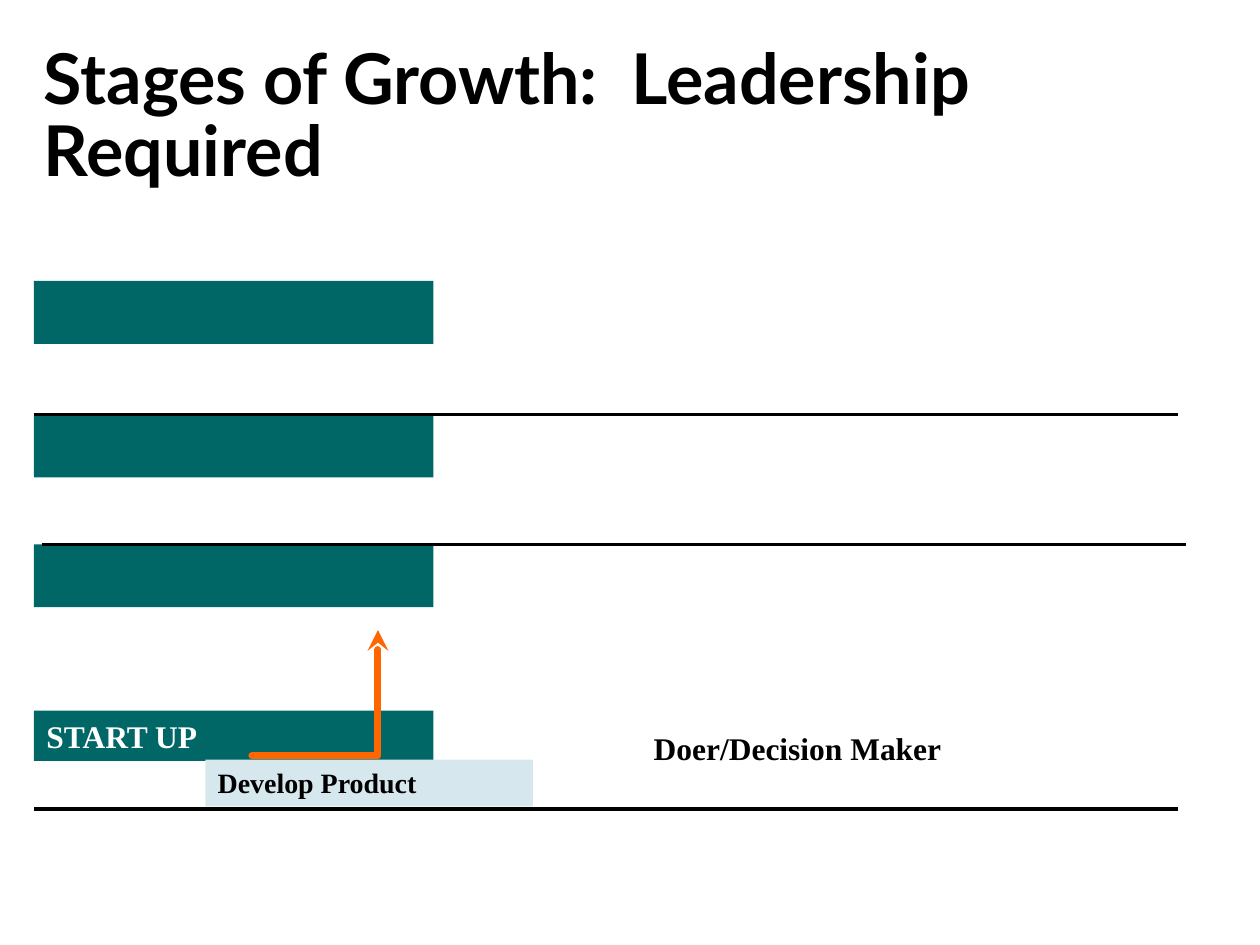
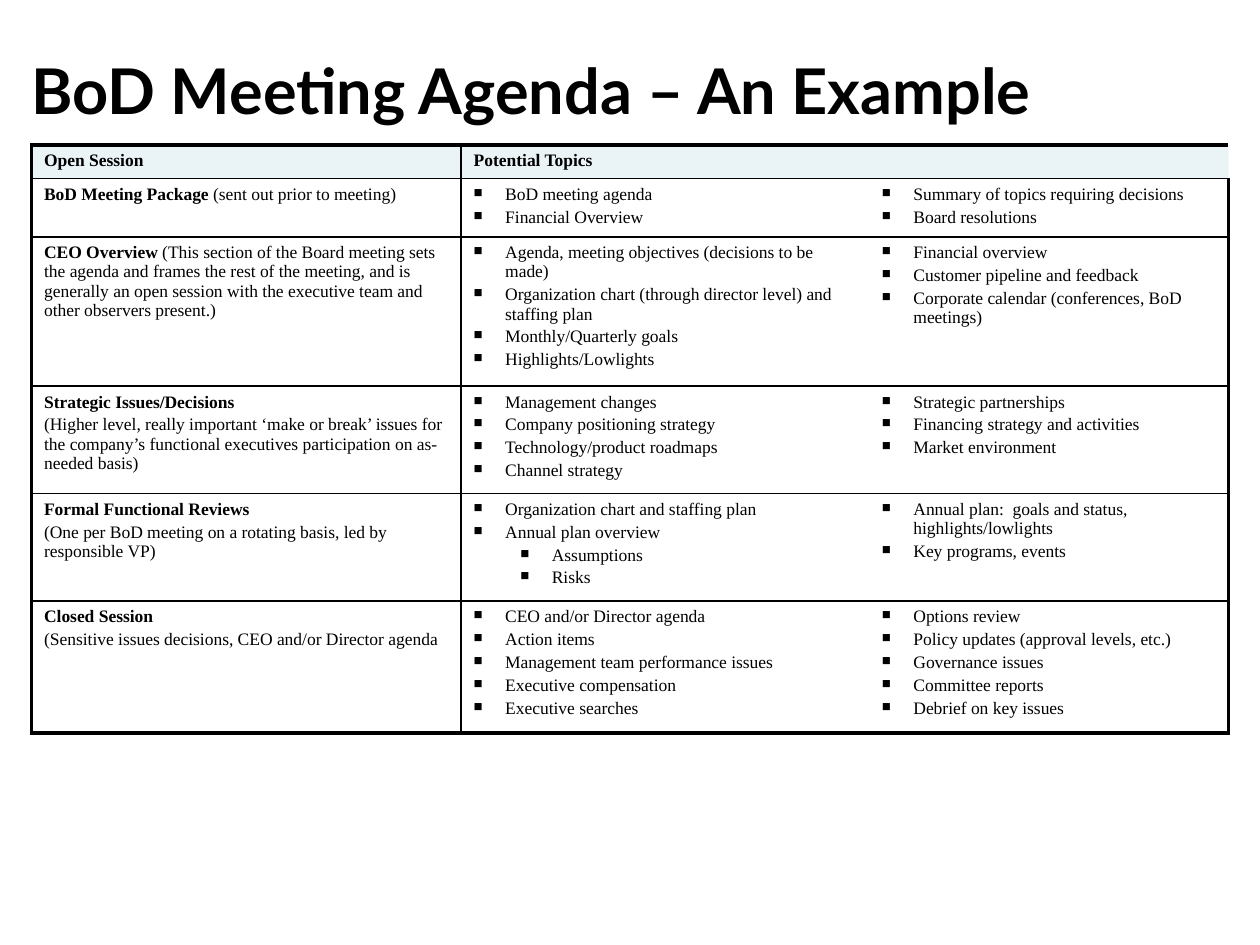
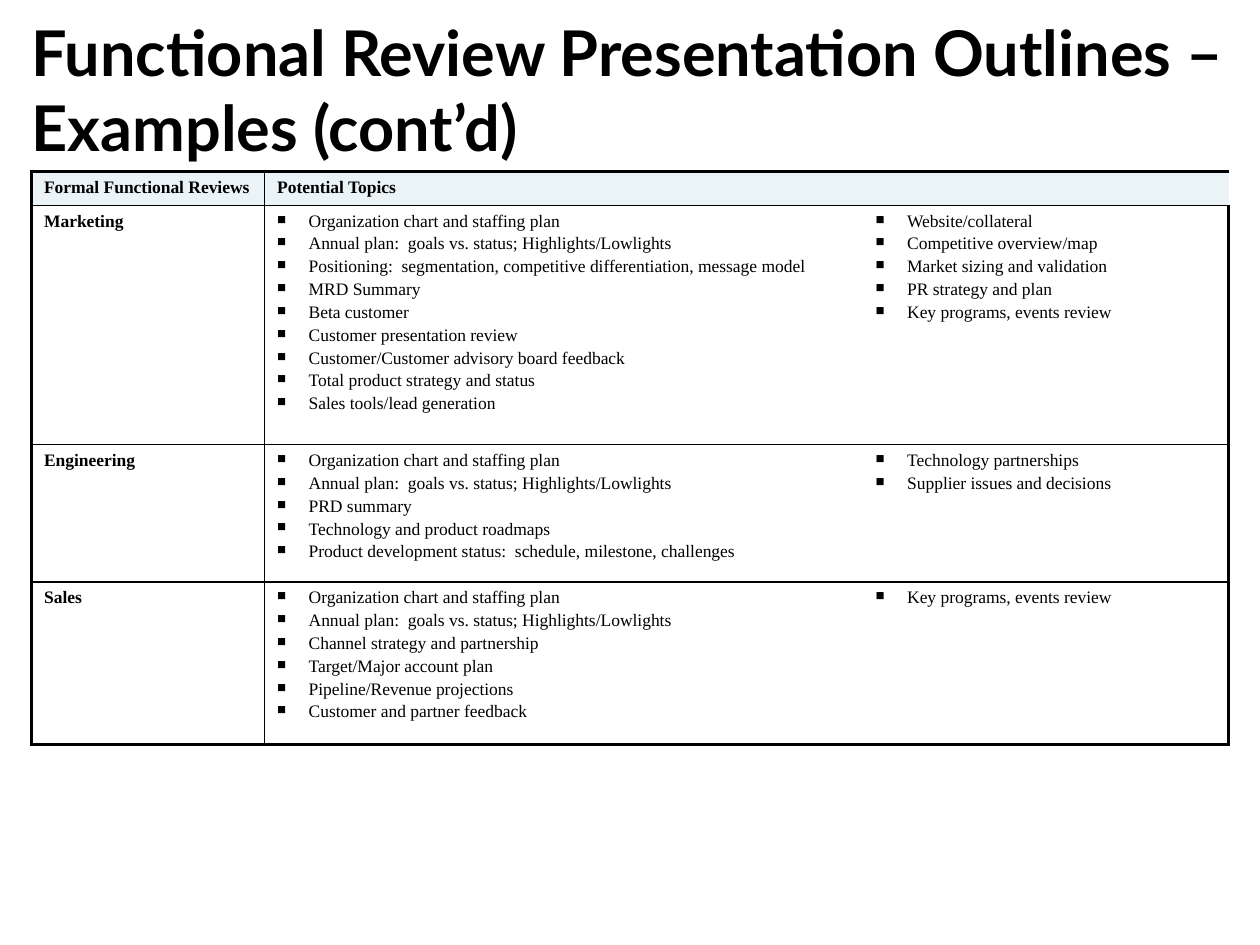
import pptx
import pptx.util
import pptx.dml.color
import pptx.enum.shapes
import pptx.enum.text
import pptx.oxml.ns
from lxml import etree

Inches, Pt = pptx.util.Inches, pptx.util.Pt
qn = pptx.oxml.ns.qn
TOP = pptx.enum.text.MSO_ANCHOR.TOP
MIDDLE = pptx.enum.text.MSO_ANCHOR.MIDDLE

COLORS = {"ink": "000000", "white": "FFFFFF", "teal": "006666",
          "pale": "D6E8EE", "orange": "FF6600"}
TITLE_FONT, BODY_FONT = "Lato", "Times New Roman"
TITLE_BOX = (0.25, 0.33, 9.5, 0.75)
TABLE_LEFT = 0.25
OUTER, INNER = 2.25, 1

# Growth stages: left, top, width, height
STAGE_LEFT, STAGE_WIDTH = 0.27, 3.17
EMPTY_STAGES = [(4.32, 0.5), (3.29, 0.5), (2.23, 0.5)]
START_UP = (STAGE_LEFT, 5.64, STAGE_WIDTH, 0.4)
PRODUCT = (1.63, 6.03, 2.6, 0.37)
LEADER = (5.09, 5.74, 2.57, 0.4)
DIVIDERS = [(0.27, 6.42), (0.33, 4.32), (0.27, 3.29)]
DIVIDER_LENGTH = 9.08
CURVE_START = (1.67, 5.93)
CURVE = [((1.74, 5.95), (1.92, 6.06), (2.1, 6.07)),
         ((2.28, 6.07), (2.5, 6.07), (2.73, 5.94)),
         ((2.96, 5.81), (3.33, 5.41), (3.49, 5.27))]

# Table rows: height, label paragraphs as (text, bold) runs, two topic lists;
# a topic given as (text, level) is indented
AGENDA = {
    "title": "BoD Meeting Agenda – An Example",
    "top": 1.15,
    "columns": [3.41, 3.24, 2.85],
    "header": (0.25, "Open Session", "Potential Topics"),
    "rows": [
        (0.45,
         [[("BoD Meeting Package ", True), ("(sent out prior to meeting)", False)]],
         ["BoD meeting agenda", "Financial Overview"],
         ["Summary of topics requiring decisions", "Board resolutions"]),
        (1.1,
         [[("CEO Overview ", True),
           ("(This section of the Board meeting sets the agenda and frames the rest "
            "of the meeting, and is generally an open session with the executive "
            "team and other observers present.)", False)]],
         ["Agenda, meeting objectives (decisions to be made)",
          "Organization chart (through director level) and staffing plan",
          "Monthly/Quarterly goals", "Highlights/Lowlights"],
         ["Financial overview", "Customer pipeline and feedback",
          "Corporate calendar (conferences, BoD meetings)"]),
        (0.8,
         [[("Strategic Issues/Decisions", True)],
          [("(Higher level, really important ‘make or break’ issues for the company’s "
            "functional executives participation on as-needed basis)", False)]],
         ["Management changes", "Company positioning strategy",
          "Technology/product roadmaps", "Channel strategy"],
         ["Strategic partnerships", "Financing strategy and activities",
          "Market environment"]),
        (0.8,
         [[("Formal Functional Reviews", True)],
          [("(One per BoD meeting on a rotating basis, led by responsible VP)", False)]],
         ["Organization chart and staffing plan", "Annual plan overview",
          ("Assumptions", 1), ("Risks", 1)],
         ["Annual plan:  goals and status, highlights/lowlights",
          "Key programs, events"]),
        (0.97,
         [[("Closed Session", True)],
          [("(Sensitive issues decisions, CEO and/or Director agenda", False)]],
         ["CEO and/or Director agenda", "Action items",
          "Management team performance issues", "Executive compensation",
          "Executive searches"],
         ["Options review", "Policy updates (approval levels, etc.)",
          "Governance issues", "Committee reports", "Debrief on key issues"]),
    ],
}

SHARED_TOPICS = ["Organization chart and staffing plan",
                 "Annual plan:  goals vs. status; Highlights/Lowlights"]
REVIEWS = {
    "title": "Functional Review Presentation Outlines – Examples (cont’d)",
    "top": 1.36,
    "columns": [1.85, 4.75, 2.9],
    "header": (0.27, "Formal Functional Reviews", "Potential Topics"),
    "rows": [
        (1.9, [[("Marketing", True)]],
         SHARED_TOPICS + [
             "Positioning:  segmentation, competitive differentiation, message model",
             "MRD Summary", "Beta customer", "Customer presentation review",
             "Customer/Customer advisory board feedback",
             "Total product strategy and status", "Sales tools/lead generation"],
         ["Website/collateral", "Competitive overview/map",
          "Market sizing and validation", "PR strategy and plan",
          "Key programs, events review"]),
        (1.09, [[("Engineering", True)]],
         SHARED_TOPICS + [
             "PRD summary", "Technology and product roadmaps",
             "Product development status:  schedule, milestone, challenges"],
         ["Technology partnerships", "Supplier issues and decisions"]),
        (1.29, [[("Sales", True)]],
         SHARED_TOPICS + [
             "Channel strategy and partnership", "Target/Major account plan",
             "Pipeline/Revenue projections", "Customer and partner feedback"],
         ["Key programs, events review"]),
    ],
}


def rgb(name):
    return pptx.dml.color.RGBColor.from_string(COLORS[name])


def add_run(p, text, size, color="ink", bold=True, font=BODY_FONT):
    r = p.add_run()
    r.text = text
    r.font.size, r.font.bold, r.font.name = Pt(size), bold, font
    r.font.color.rgb = rgb(color)


def set_frame(tf, inset=(0.1, 0.05), anchor=TOP, wrap=True):
    tf.margin_left = tf.margin_right = Inches(inset[0])
    tf.margin_top = tf.margin_bottom = Inches(inset[1])
    tf.vertical_anchor, tf.word_wrap = anchor, wrap


def add_text(s, box, text, size, font=BODY_FONT, **frame):
    tf = s.shapes.add_textbox(*map(Inches, box)).text_frame
    set_frame(tf, **frame)
    p = tf.paragraphs[0]
    add_run(p, text, size, font=font)
    return p


def add_bar(s, box, fill, text="", size=18, color="ink"):
    sp = s.shapes.add_shape(pptx.enum.shapes.MSO_SHAPE.RECTANGLE, *map(Inches, box))
    sp.shadow.inherit = False
    sp.fill.solid()
    sp.fill.fore_color.rgb = rgb(fill)
    sp.line.fill.background()
    if text:
        set_frame(sp.text_frame)
        p = sp.text_frame.paragraphs[0]
        p.alignment = pptx.enum.text.PP_ALIGN.LEFT
        add_run(p, text, size, color)


def add_divider(s, left, y):
    line = s.shapes.add_connector(
        pptx.enum.shapes.MSO_CONNECTOR.STRAIGHT,
        *map(Inches, (left, y, left + DIVIDER_LENGTH, y)))
    line.line.color.rgb, line.line.width = rgb("ink"), Pt(2)
    etree.SubElement(line.element.spPr, qn("a:effectLst"))


def curve_points(start, segments, steps=16):
    """Points along a chain of cubic Bezier segments."""
    points = []
    for c1, c2, end in segments:
        for i in range(1, steps + 1):
            t = i / steps
            u = 1 - t
            points.append(tuple(
                u**3 * a + 3 * u * u * t * b + 3 * u * t * t * c + t**3 * d
                for a, b, c, d in zip(start, c1, c2, end)))
        start = end
    return points


def add_growth_arrow(s):
    builder = s.shapes.build_freeform(*CURVE_START, scale=Inches(1))
    builder.add_line_segments(curve_points(CURVE_START, CURVE), close=False)
    sp = builder.convert_to_shape()
    sp.shadow.inherit = False
    sp.fill.background()
    sp.line.color.rgb, sp.line.width = rgb("orange"), Pt(4)
    ln = sp.line._get_or_add_ln()
    ln.set("cap", "rnd")
    etree.SubElement(ln, qn("a:round"))
    etree.SubElement(ln, qn("a:tailEnd"), type="stealth")


def add_bullet(p, level):
    pPr = p._p.get_or_add_pPr()
    pPr.set("marL", str(Inches((0.25, 0.62)[level])))
    pPr.set("indent", str(Inches(-0.25)))
    color = etree.SubElement(pPr, qn("a:buClr"))
    etree.SubElement(color, qn("a:srgbClr"), val=COLORS["ink"])
    etree.SubElement(pPr, qn("a:buSzPct"), val="70000")
    etree.SubElement(pPr, qn("a:buChar"), char="■")


def fill_cell(cell, paragraphs):
    """Write paragraphs given as (runs, bullet level or None)."""
    tf = cell.text_frame
    for i, (runs, level) in enumerate(paragraphs):
        p = tf.add_paragraph() if i else tf.paragraphs[0]
        if i:
            p.space_before = Pt(2)
        if level is not None:
            p.level = level
            add_bullet(p, level)
        for text, bold in runs:
            add_run(p, text, 10, bold=bold)


def set_borders(cell, **widths):
    tcPr = cell._tc.get_or_add_tcPr()
    for i, side in enumerate("LRTB"):
        width = widths[side]
        ln = etree.Element(qn("a:ln" + side), w=str(Pt(width)))
        if width:
            fill = etree.SubElement(ln, qn("a:solidFill"))
            etree.SubElement(fill, qn("a:srgbClr"), val=COLORS["ink"])
        else:
            etree.SubElement(ln, qn("a:noFill"))
        tcPr.insert(i, ln)


def style_cell(cell, row, col, last_row):
    if row == 0:
        cell.fill.solid()
        cell.fill.fore_color.rgb = rgb("pale")
        color = cell._tc.tcPr.find(".//" + qn("a:srgbClr"))
        etree.SubElement(color, qn("a:alpha"), val="50000")
    else:
        cell.fill.background()
    set_borders(cell,
                L=(OUTER, INNER, 0)[col], R=(INNER, 0, OUTER)[col],
                T=INNER if row else OUTER,
                B=OUTER if row == last_row else INNER)


def topic_paragraphs(topics):
    pairs = [t if isinstance(t, tuple) else (t, 0) for t in topics]
    return [([(text, False)], level) for text, level in pairs]


def add_topic_table(s, data):
    header_height, *headings = data["header"]
    heights = [header_height] + [row[0] for row in data["rows"]]
    columns = data["columns"]
    table = s.shapes.add_table(
        len(heights), len(columns), Inches(TABLE_LEFT), Inches(data["top"]),
        Inches(sum(columns)), Inches(sum(heights))).table
    table.first_row = table.horz_banding = False
    for column, width in zip(table.columns, columns):
        column.width = Inches(width)
    for row, height in zip(table.rows, heights):
        row.height = Inches(height)
    table.cell(0, 1).merge(table.cell(0, 2))
    for col, text in enumerate(headings):
        fill_cell(table.cell(0, col), [([(text, True)], None)])
    for i, (_, label, left, right) in enumerate(data["rows"], 1):
        fill_cell(table.cell(i, 0), [(runs, None) for runs in label])
        fill_cell(table.cell(i, 1), topic_paragraphs(left))
        fill_cell(table.cell(i, 2), topic_paragraphs(right))
    for i in range(len(heights)):
        for col in range(len(columns)):
            style_cell(table.cell(i, col), i, col, len(heights) - 1)


def build_growth_slide(s):
    title = add_text(s, TITLE_BOX, "Stages of Growth:  Leadership Required", 40,
                     font=TITLE_FONT)
    title.line_spacing = 0.85
    add_bar(s, START_UP, "teal", "START UP", 18, "white")
    for top, height in EMPTY_STAGES:
        add_bar(s, (STAGE_LEFT, top, STAGE_WIDTH, height), "teal")
    for left, y in DIVIDERS:
        add_divider(s, left, y)
    add_text(s, LEADER, "Doer/Decision Maker", 18, wrap=False)
    add_bar(s, PRODUCT, "pale", "Develop Product", 16)
    add_growth_arrow(s)


def build_table_slide(s, data):
    add_text(s, TITLE_BOX, data["title"], 36, font=TITLE_FONT,
             inset=(0, 0), anchor=MIDDLE)
    add_topic_table(s, data)


def main():
    prs = pptx.Presentation()
    prs.slide_width, prs.slide_height = Inches(10), Inches(7.5)
    blank = prs.slide_layouts[6]
    build_growth_slide(prs.slides.add_slide(blank))
    for data in (AGENDA, REVIEWS):
        build_table_slide(prs.slides.add_slide(blank), data)
    prs.save("out.pptx")


if __name__ == "__main__":
    main()
